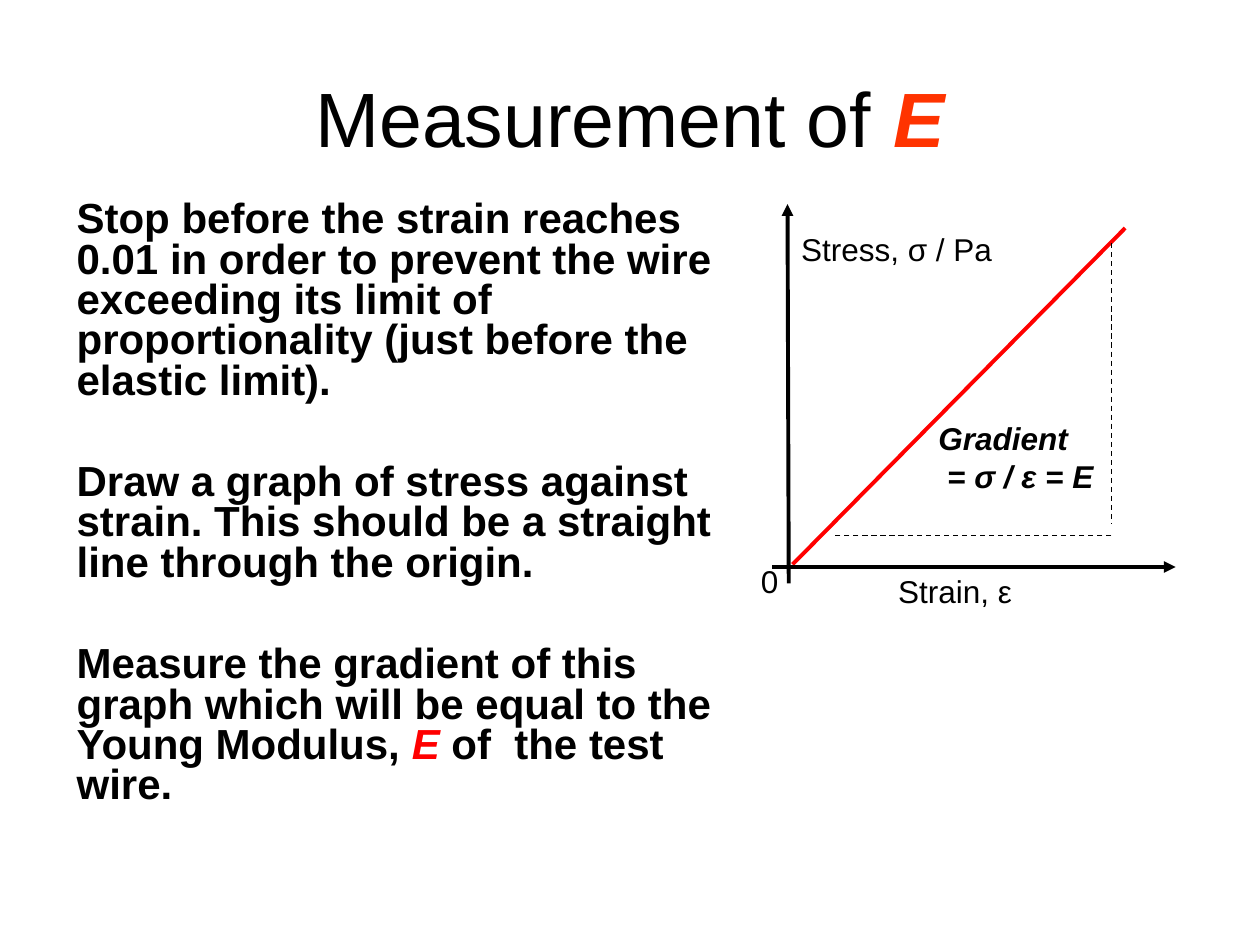
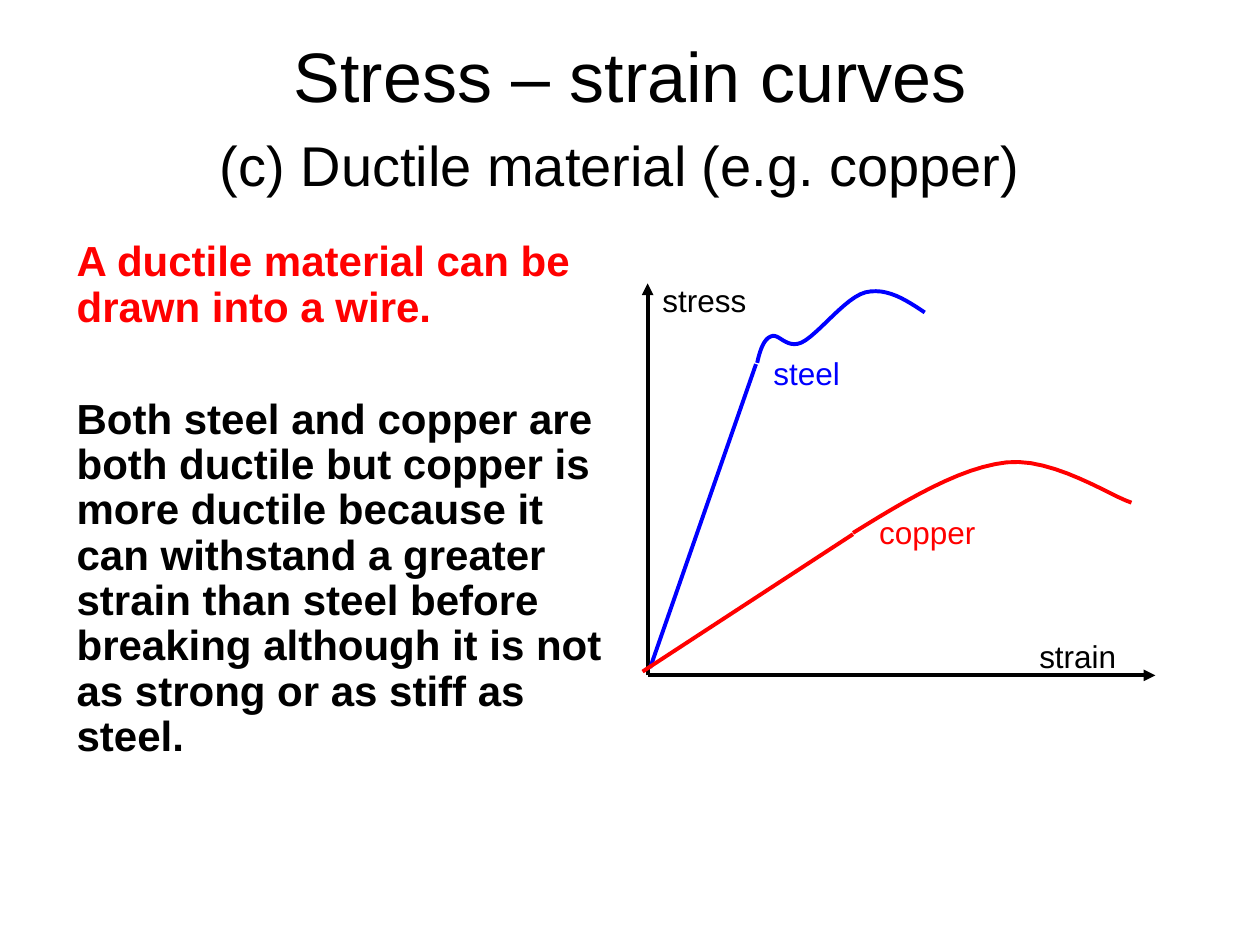
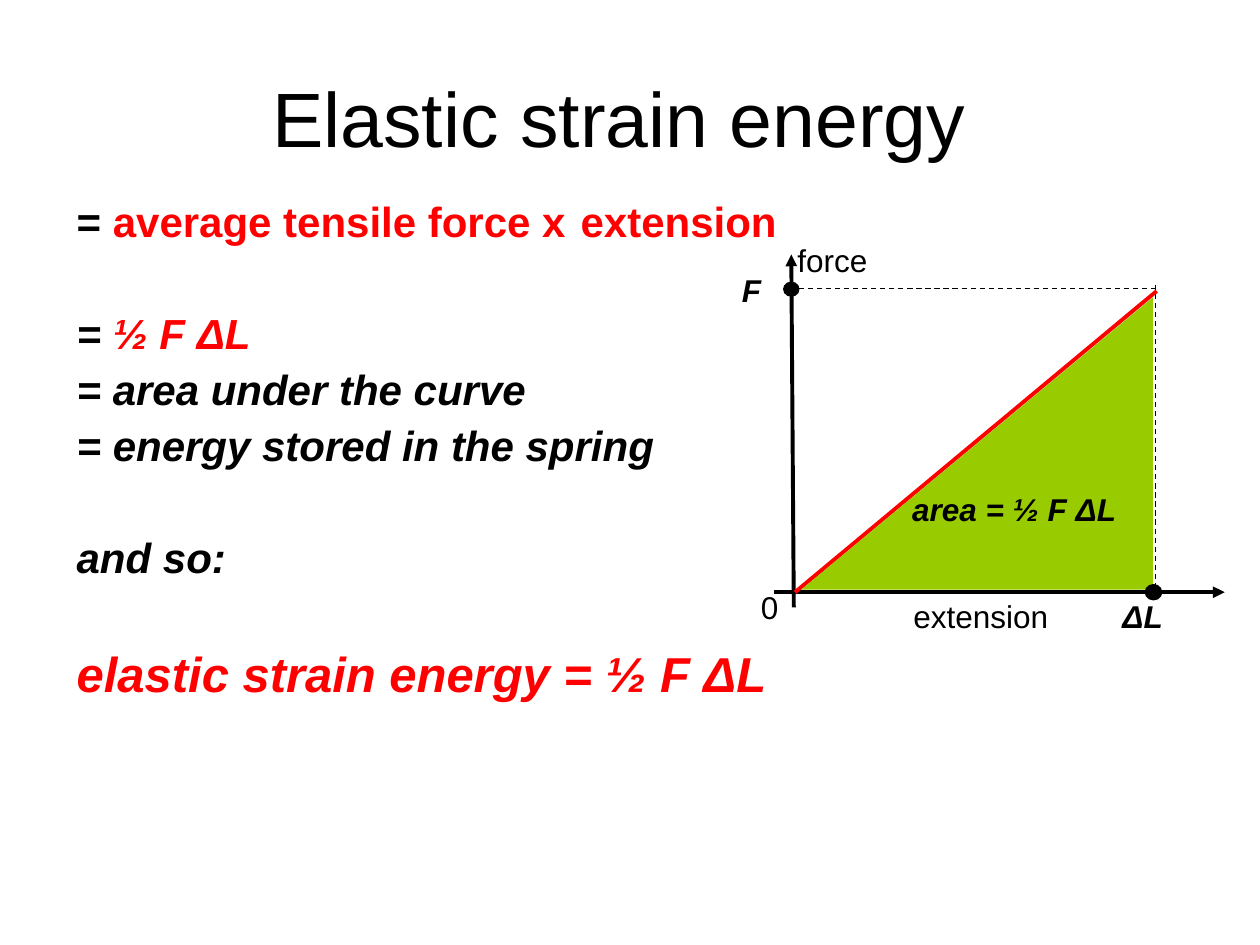
from typing import NamedTuple

from lxml import etree
from pptx import Presentation
from pptx.dml.color import RGBColor
from pptx.enum import dml, shapes, text
from pptx.oxml import ns
from pptx.util import Inches, Pt

BLACK = RGBColor(0x00, 0x00, 0x00)
RED = RGBColor(0xFF, 0x00, 0x00)
ORANGE_RED = RGBColor(0xFF, 0x33, 0x00)
BLUE = RGBColor(0x00, 0x00, 0xFF)
GREEN = RGBColor(0x99, 0xCC, 0x00)
FONT = "Arial"
TITLE_SIZE = 44
BODY_SIZE = 24
LABEL_SIZE = 18
THICK, THIN = 2.25, 0.75
CURVE_STEPS = 12


class Run(NamedTuple):
    """A piece of text with its own emphasis."""
    text: str
    color: RGBColor = BLACK
    bold: bool = False
    italic: bool = False
    size: float = None


def body_run(words, color=BLACK, italic=False, size=None):
    """Return a bold run for body text."""
    return Run(words, color, True, italic, size)


def label_run(words):
    """Return a bold italic run for a formula label."""
    return Run(words, BLACK, True, True)


def add_runs(paragraph, runs, size):
    """Fill a paragraph, turning newlines into line breaks."""
    for item in runs:
        if item.text == "\n":
            paragraph.add_line_break()
            continue
        run = paragraph.add_run()
        run.text = item.text
        run.font.name = FONT
        run.font.size = Pt(item.size or size)
        run.font.bold = item.bold
        run.font.italic = item.italic
        run.font.color.rgb = item.color


def add_text(slide, box, paragraphs, size):
    """Add a wrapping text box and return its frame."""
    frame = slide.shapes.add_textbox(*map(Inches, box)).text_frame
    frame.word_wrap = True
    for index, runs in enumerate(paragraphs):
        paragraph = frame.add_paragraph() if index else frame.paragraphs[0]
        add_runs(paragraph, runs, size)
    return frame


def add_title(slide, *runs):
    """Add the centred slide title."""
    frame = add_text(slide, (0.5, 0.3, 9, 1.25), [runs], TITLE_SIZE)
    frame.vertical_anchor = text.MSO_ANCHOR.MIDDLE
    frame.paragraphs[0].alignment = text.PP_ALIGN.CENTER


def add_body(slide, top, width, height, line_spacing, paragraphs):
    """Add body text from pairs of space before and runs."""
    box = (0.51, top, width, height)
    frame = add_text(slide, box, [runs for _, runs in paragraphs], BODY_SIZE)
    for paragraph, (space, _) in zip(frame.paragraphs, paragraphs):
        paragraph.line_spacing = line_spacing
        paragraph.space_before = Pt(space)


def add_label(slide, left, top, width, height, *lines):
    """Add a graph label with one run per line."""
    add_text(slide, (left, top, width, height), [[line] for line in lines], LABEL_SIZE)


def add_line(slide, start, end, color=BLACK, width=THICK):
    """Add a straight line without shadow."""
    connector = slide.shapes.add_connector(
        shapes.MSO_CONNECTOR.STRAIGHT, *map(Inches, (*start, *end)))
    connector.line.color.rgb = color
    connector.line.width = Pt(width)
    etree.SubElement(connector.element.spPr, ns.qn("a:effectLst"))
    return connector


def add_axis(slide, start, end):
    """Add a graph axis with an arrowhead."""
    outline = add_line(slide, start, end).line
    etree.SubElement(outline._get_or_add_ln(), ns.qn("a:tailEnd"), type="triangle")


def add_guide(slide, start, end):
    """Add a thin dashed guide line."""
    add_line(slide, start, end, width=THIN).line.dash_style = dml.MSO_LINE.DASH


def bezier_point(corners, t):
    """Return the point at t on a cubic curve."""
    s = 1 - t
    weights = (s ** 3, 3 * s * s * t, 3 * s * t * t, t ** 3)
    return tuple(sum(w * c for w, c in zip(weights, axis)) for axis in zip(*corners))


def add_curve(slide, points, color):
    """Add a smooth open curve through chained cubic segments."""
    builder = slide.shapes.build_freeform(
        *map(Inches, points[0]), scale=1.0)
    for first in range(0, len(points) - 1, 3):
        corners = points[first:first + 4]
        vertices = [bezier_point(corners, step / CURVE_STEPS)
                    for step in range(1, CURVE_STEPS + 1)]
        builder.add_line_segments(
            [(Inches(x), Inches(y)) for x, y in vertices], close=False)
    curve = builder.convert_to_shape()
    curve.shadow.inherit = False
    curve.fill.background()
    curve.line.color.rgb = color
    curve.line.width = Pt(THICK)


def add_filled(slide, kind, box, color):
    """Add a filled shape without outline or shadow."""
    shape = slide.shapes.add_shape(kind, *map(Inches, box))
    shape.shadow.inherit = False
    shape.fill.solid()
    shape.fill.fore_color.rgb = color
    shape.line.fill.background()
    return shape


def add_marker(slide, left, top, width, height):
    """Add a black dot on an axis."""
    dot = add_filled(slide, shapes.MSO_SHAPE.OVAL, (left, top, width, height), BLACK)
    dot.line.color.rgb = BLACK
    dot.line.width = Pt(THIN)


def build_measurement(slide):
    """Build the slide on measuring the Young modulus."""
    add_title(slide, Run("Measurement of "), Run("E", ORANGE_RED, True, True))
    add_body(slide, 1.55, 5.35, 5.2, 0.8, [
        (6, [body_run("Stop before the strain reaches 0.01 in order to prevent the wire "
                      "exceeding its limit of proportionality (just before the elastic limit).")]),
        (35, [body_run("Draw a graph of stress against strain. "
                       "This should be a straight line through the origin.")]),
        (35, [body_run("Measure the gradient of this graph which will be equal to the "
                       "Young Modulus, "),
              body_run("E", RED, True), body_run(" of  the test wire.")]),
    ])
    add_line(slide, (6.29, 4.48), (8.93, 1.81), RED)
    add_axis(slide, (6.26, 4.63), (6.25, 1.62))
    add_axis(slide, (6.13, 4.5), (9.33, 4.5))
    add_label(slide, 5.94, 4.41, 0.41, 0.52, Run("0"))
    add_label(slide, 6.26, 1.78, 1.8, 0.42, Run("Stress, σ / Pa"))
    add_label(slide, 7.03, 4.49, 1.23, 0.43, Run("Strain, ε"))
    add_guide(slide, (8.82, 1.93), (8.82, 4.16))
    add_label(slide, 7.35, 3.28, 1.83, 1.16, label_run("Gradient"), label_run(" = σ / ε = E"))
    add_guide(slide, (8.82, 4.25), (6.62, 4.25))


def build_ductile(slide):
    """Build the slide comparing steel and copper."""
    add_title(slide, Run("Stress – strain curves", size=40), Run("\n"),
              Run("(c) Ductile material (e.g. copper)", size=32), Run(" ", size=40))
    add_body(slide, 1.86, 4.41, 4.41, 0.9, [
        (6, [body_run("A ductile material can be drawn into a wire.", RED)]),
        (38, [body_run("Both steel and copper are both ductile but copper is more ductile "
                       "because it can withstand a greater strain than steel before breaking "
                       "although it is not as strong or as stiff as steel.")]),
    ])
    origin = (5.14, 5.36)
    add_axis(slide, origin, (5.14, 2.25))
    add_axis(slide, origin, (9.17, 5.36))
    add_label(slide, 5.16, 2.18, 1, 0.5, Run("stress"))
    add_label(slide, 6.88, 4.02, 1.33, 0.58, Run("copper", RED))
    add_label(slide, 6.04, 2.76, 1.33, 0.64, Run("steel", BLUE))
    add_label(slide, 8.15, 5.01, 1, 0.5, Run("strain"))
    add_line(slide, (5.16, 5.3), (6, 2.89), BLUE)
    add_curve(slide, [
        (6.01, 2.88), (6.03, 2.79), (6.06, 2.69), (6.12, 2.67), (6.18, 2.64),
        (6.24, 2.77), (6.36, 2.72), (6.49, 2.66), (6.71, 2.36), (6.87, 2.32),
        (7.04, 2.28), (7.19, 2.38), (7.34, 2.48)], BLUE)
    add_line(slide, (5.1, 5.33), (6.77, 4.24), RED)
    add_curve(slide, [
        (6.77, 4.23), (7.19, 3.97), (7.62, 3.71), (7.99, 3.67),
        (8.36, 3.63), (8.82, 3.94), (8.98, 3.99)], RED)


def build_energy(slide):
    """Build the slide on elastic strain energy."""
    add_title(slide, Run("Elastic strain energy "))
    add_body(slide, 1.55, 6.22, 4.57, 0.9, [
        (6, [body_run("= "), body_run("average tensile force x \textension", RED)]),
        (38, [body_run("= ", italic=True), body_run("½ F ΔL", RED, True)]),
        (6, [body_run("= area under the curve", italic=True)]),
        (6, [body_run("= energy stored in the spring", italic=True)]),
        (38, [body_run("and so:", italic=True)]),
        (39, [body_run("elastic strain energy = ½ F ΔL", RED, True, 28)]),
    ])
    add_axis(slide, (6.3, 4.82), (6.28, 2.02))
    add_axis(slide, (6.14, 4.7), (9.72, 4.7))
    add_line(slide, (6.31, 4.7), (9.18, 2.31), RED)
    add_label(slide, 5.94, 4.62, 0.46, 0.48, Run("0"))
    add_guide(slide, (6.27, 2.29), (9.19, 2.29))
    add_guide(slide, (9.17, 2.26), (9.17, 4.69))
    area = add_filled(slide, shapes.MSO_SHAPE.RIGHT_TRIANGLE, (6.36, 2.36, 2.79, 2.32), GREEN)
    area.element.spPr.xfrm.set("flipH", "1")
    add_label(slide, 5.79, 2.1, 0.46, 0.56, label_run("F"))
    add_label(slide, 7.14, 3.84, 2.02, 0.42, label_run("area = ½ F ΔL"))
    add_label(slide, 8.81, 4.69, 0.68, 0.48, label_run("ΔL"))
    add_marker(slide, 9.09, 4.64, 0.13, 0.12)
    add_marker(slide, 6.22, 2.24, 0.12, 0.11)
    add_label(slide, 6.23, 1.86, 1.04, 0.39, Run("force"))
    add_label(slide, 7.15, 4.69, 1.38, 0.4, Run("extension"))


def main():
    """Build and save the presentation."""
    presentation = Presentation()
    presentation.slide_width = Inches(10)
    presentation.slide_height = Inches(7.5)
    blank = presentation.slide_layouts[6]
    for build in (build_measurement, build_ductile, build_energy):
        build(presentation.slides.add_slide(blank))
    presentation.save("out.pptx")


if __name__ == "__main__":
    main()
